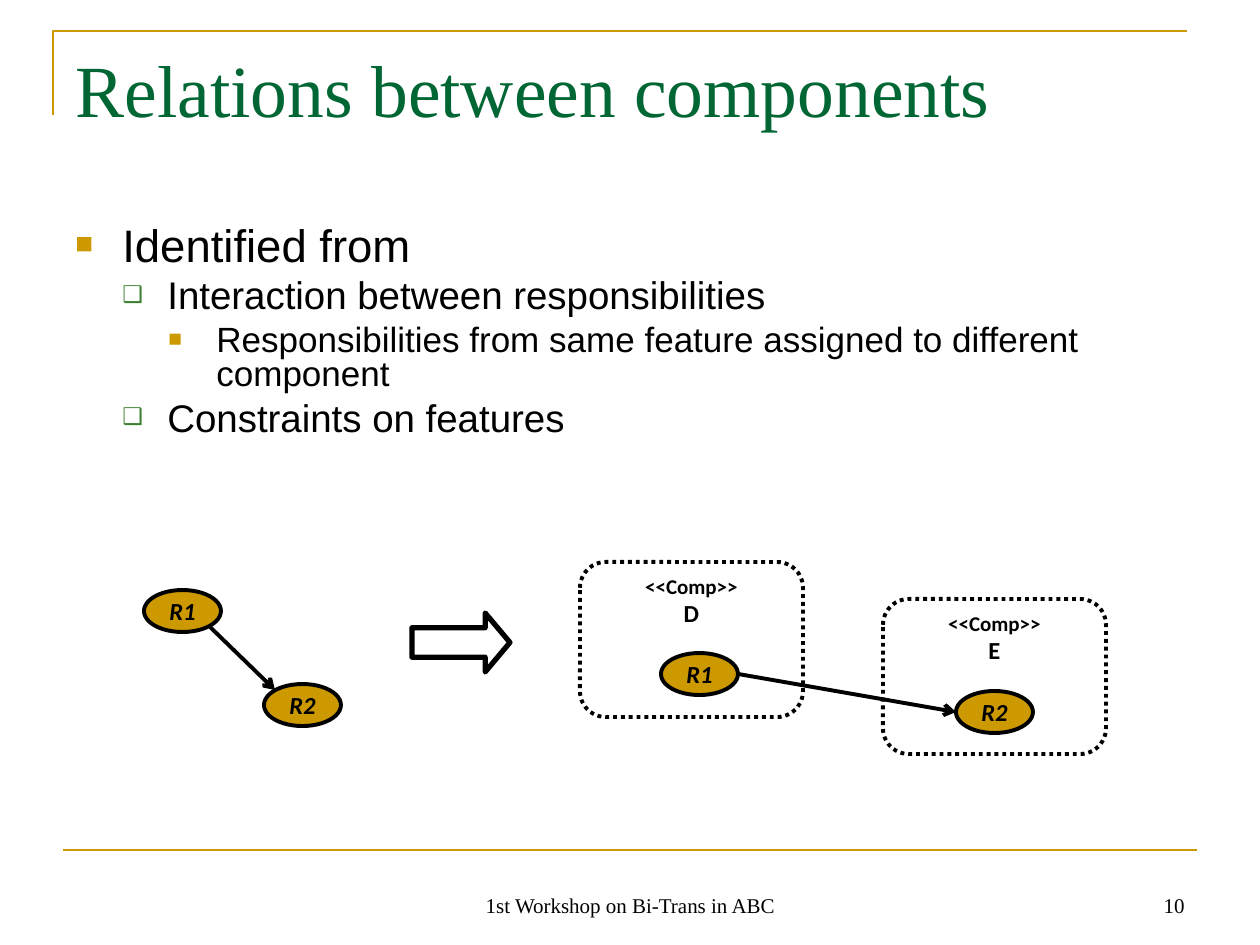
import pptx
import pptx.util
import pptx.dml.color
import pptx.enum.dml
import pptx.enum.shapes
import pptx.enum.text
import pptx.oxml
import pptx.oxml.ns

RGBColor = pptx.dml.color.RGBColor
GOLD = RGBColor(0xCC, 0x99, 0x00)
TITLE_GREEN = RGBColor(0x00, 0x66, 0x33)
BULLET_GREEN = RGBColor(0x3B, 0x81, 0x2F)
BLACK = RGBColor(0, 0, 0)

SHAPE = pptx.enum.shapes.MSO_SHAPE
ALIGN = pptx.enum.text.PP_ALIGN
ANCHOR = pptx.enum.text.MSO_ANCHOR
NS = pptx.oxml.ns.nsdecls("a")

NODE_W, NODE_H = 77, 42
COMP_W, COMP_H = 223, 155

LEVELS = [
    dict(char="■", color=GOLD, pct=65, margin=47, hang=47, size=26, before=6.5),
    dict(char="❑", color=BULLET_GREEN, pct=60, margin=92, hang=45, size=22, before=5.5),
    dict(char="■", color=GOLD, pct=65, margin=141, hang=48, size=20, before=5),
]
BODY = [
    (0, "Identified from"),
    (1, "Interaction between responsibilities"),
    (2, "Responsibilities from same feature assigned to different component"),
    (1, "Constraints on features"),
]


def px(n):
    return pptx.util.Emu(round(n * 914400 / 126))


def write(p, text, font="Calibri", size=14, color=BLACK, bold=False, italic=False, align=None):
    p.alignment = align
    r = p.add_run()
    r.text = text
    r.font.name = font
    r.font.size = pptx.util.Pt(size)
    r.font.color.rgb = color
    r.font.bold = bold
    r.font.italic = italic


def add_text_frame(shapes, x, y, w, h, wrap=True, anchor=ANCHOR.TOP):
    tf = shapes.add_textbox(px(x), px(y), px(w), px(h)).text_frame
    tf.word_wrap = wrap
    tf.vertical_anchor = anchor
    return tf


def add_outline(shapes, kind, x, y, w, h, width=2.25, fill=None):
    sp = shapes.add_shape(kind, px(x), px(y), px(w), px(h))
    sp.shadow.inherit = False
    if fill is None:
        sp.fill.background()
    else:
        sp.fill.solid()
        sp.fill.fore_color.rgb = fill
    sp.line.color.rgb = BLACK
    sp.line.width = pptx.util.Pt(width)
    return sp


def add_line(shapes, x1, y1, x2, y2, color=BLACK, width=2.25, arrow=False):
    cx = shapes.add_connector(pptx.enum.shapes.MSO_CONNECTOR.STRAIGHT,
                              px(x1), px(y1), px(x2), px(y2))
    cx.line.color.rgb = color
    cx.line.width = pptx.util.Pt(width)
    if arrow:
        cx.line._get_or_add_ln().append(
            pptx.oxml.parse_xml(f'<a:tailEnd {NS} type="arrow"/>'))
    cx._element.spPr.append(pptx.oxml.parse_xml(f"<a:effectLst {NS}/>"))


def add_bullet(p, level):
    pPr = p._p.get_or_add_pPr()
    pPr.set("marL", str(px(level["margin"])))
    pPr.set("indent", str(-px(level["hang"])))
    for xml in (
        f'<a:buClr {NS}><a:srgbClr val="{level["color"]}"/></a:buClr>',
        f'<a:buSzPct {NS} val="{level["pct"] * 1000}"/>',
        f'<a:buFont {NS} typeface="Arial"/>',
        f'<a:buChar {NS} char="{level["char"]}"/>',
    ):
        pPr.append(pptx.oxml.parse_xml(xml))


def add_frame(s, x, y, w, h):
    fb = s.shapes.build_freeform(px(x), px(y + 84))
    fb.add_line_segments([(px(x), px(y)), (px(x + w), px(y))], close=False)
    sp = fb.convert_to_shape()
    sp.shadow.inherit = False
    sp.fill.background()
    sp.line.color.rgb = GOLD
    sp.line.width = pptx.util.Pt(1.5)
    add_line(s.shapes, x + 10, y + h, x + 10 + w, y + h, color=GOLD, width=1.5)


def add_title(s, x, y, w, h):
    sp = s.shapes.title
    sp.left, sp.top, sp.width, sp.height = px(x), px(y), px(w), px(h)
    tf = sp.text_frame
    tf.vertical_anchor = ANCHOR.TOP
    write(tf.paragraphs[0], "Relations between components", font="Times New Roman",
          size=42, color=TITLE_GREEN, align=ALIGN.LEFT)


def add_body(s, x, y, w, h):
    tf = add_text_frame(s.shapes, x, y, w, h)
    for i, (depth, text) in enumerate(BODY):
        p = tf.add_paragraph() if i else tf.paragraphs[0]
        level = LEVELS[depth]
        p.level = depth
        add_bullet(p, level)
        p.line_spacing = 0.8
        if i:
            p.space_before = pptx.util.Pt(level["before"])
        write(p, text, font="Arial", size=level["size"])


def add_node(shapes, x, y, name):
    sp = add_outline(shapes, SHAPE.OVAL, x, y, NODE_W, NODE_H, fill=GOLD)
    tf = sp.text_frame
    tf.word_wrap = False
    tf.vertical_anchor = ANCHOR.MIDDLE
    write(tf.paragraphs[0], name, bold=True, italic=True, align=ALIGN.CENTER)


def add_component(shapes, x, y, name):
    sp = add_outline(shapes, SHAPE.ROUNDED_RECTANGLE, x, y, COMP_W, COMP_H)
    sp.line.dash_style = pptx.enum.dml.MSO_LINE.ROUND_DOT
    tf = add_text_frame(shapes, x + 47, y + 5, 129, 68, wrap=False)
    tf.auto_size = pptx.enum.text.MSO_AUTO_SIZE.SHAPE_TO_FIT_TEXT
    write(tf.paragraphs[0], "<<Comp>>", size=12, bold=True, align=ALIGN.CENTER)
    write(tf.add_paragraph(), name, bold=True, align=ALIGN.CENTER)


def add_responsibilities(s, x, y):
    shapes = s.shapes.add_group_shape().shapes
    add_node(shapes, x, y, "R1")
    add_node(shapes, x + 120, y + 94, "R2")
    add_line(shapes, x + 65, y + 36, x + 131, y + 100, arrow=True)


def add_components(s, x, y):
    shapes = s.shapes.add_group_shape().shapes
    add_component(shapes, x, y, "D")
    add_component(shapes, x + 303, y + 37, "E")
    add_node(shapes, x + 81, y + 91, "R1")
    add_node(shapes, x + 376, y + 129, "R2")
    add_line(shapes, x + 81 + NODE_W, y + 91 + NODE_H / 2,
             x + 376, y + 129 + NODE_H / 2, arrow=True)


def add_block_arrow(s, x, y, w, h):
    sp = add_outline(s.shapes, SHAPE.RIGHT_ARROW, x, y, w, h, width=3)
    sp.adjustments[0] = 0.5
    sp.adjustments[1] = 0.42


def add_footer(s, x, y, w, h):
    for left, width, text, align in (
        (x, 399, "1st Workshop on Bi-Trans in ABC", ALIGN.CENTER),
        (x + w - 294, 294, "10", ALIGN.RIGHT),
    ):
        tf = add_text_frame(s.shapes, left, y, width, h, anchor=ANCHOR.BOTTOM)
        write(tf.paragraphs[0], text, font="Times New Roman", size=12, align=align)


def main():
    prs = pptx.Presentation()
    prs.slide_width, prs.slide_height = px(1260), px(945)
    s = prs.slides.add_slide(prs.slide_layouts[5])
    add_frame(s, 53, 31, 1134, 819)
    add_title(s, 63, 38, 1134, 157)
    add_body(s, 63, 221, 1134, 242)
    add_responsibilities(s, 144, 590)
    add_components(s, 580, 562)
    add_block_arrow(s, 412, 613, 98, 59)
    add_footer(s, 431, 861, 766, 63)
    prs.save("out.pptx")


if __name__ == "__main__":
    main()
